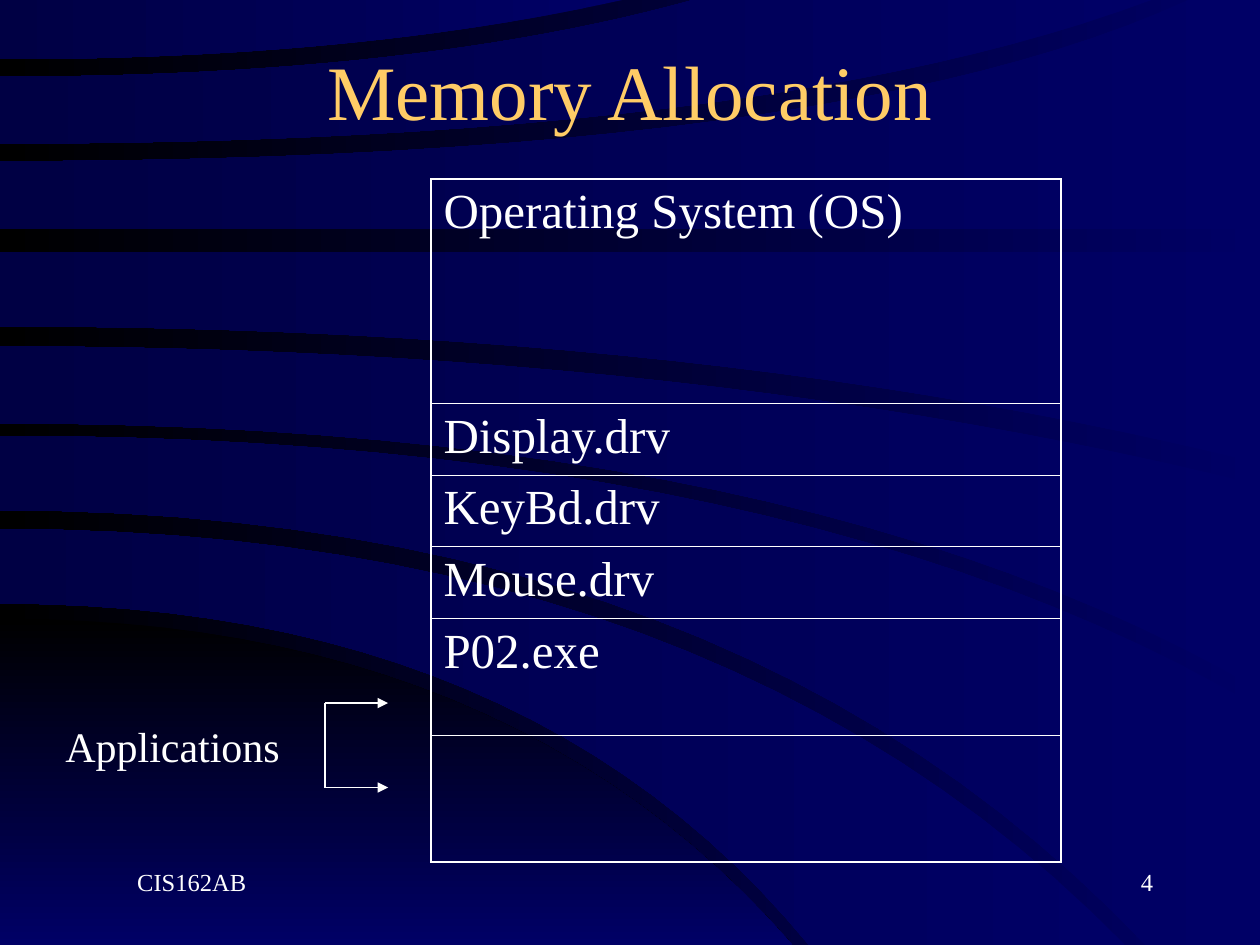
from dataclasses import dataclass

import lxml.etree
import pptx
import pptx.dml.color
import pptx.enum.shapes
import pptx.enum.text
import pptx.oxml.ns
import pptx.util
from pptx.util import Inches

FONT = "Times New Roman"
WHITE, GOLD = "FFFFFF", "FFCC66"
NAVY, DARK_NAVY, BLACK = "000066", "000044", "000000"
THIN, THICK = 0.45, 1.08
CURVE_STEPS = 24
ALIGN = pptx.enum.text.PP_ALIGN
ANCHOR = pptx.enum.text.MSO_ANCHOR


@dataclass
class Curve:
    """Leaves the left edge level at start_y and bends at bend_x towards its end."""
    start_y: float
    bend_x: float
    end_x: float
    end_y: float

    def points(self) -> list[tuple[float, float]]:
        steps = [step / CURVE_STEPS for step in range(CURVE_STEPS + 1)]
        return [(2 * t * (1 - t) * self.bend_x + t * t * self.end_x,
                 self.start_y + t * t * (self.end_y - self.start_y)) for t in steps]


@dataclass
class Band:
    upper: Curve
    lower: Curve
    corner: tuple[tuple[float, float], ...] = ()
    start: str = NAVY
    end: str = DARK_NAVY
    angle: int = 180


@dataclass
class Label:
    text: str
    left: float
    top: float
    width: float
    height: float
    size: float
    color: str = WHITE
    align: ALIGN = ALIGN.LEFT
    anchor: ANCHOR = ANCHOR.TOP
    space_before: float = 0
    margin: float = 0


@dataclass
class Line:
    start: tuple[float, float]
    end: tuple[float, float]
    arrow: bool = False


@dataclass
class MemoryBlock:
    text: str
    height: float


# Curved bands behind the text, from back to front
BANDS = [
    Band(Curve(4.91, 4.04, 6.29, 7.5), Curve(7.5, 3, 6.29, 7.5),
         start=BLACK, end=NAVY, angle=270),
    Band(Curve(4.2, 5.7, 8.93, 7.5), Curve(4.79, 4.19, 6.42, 7.5)),
    Band(Curve(3.46, 6.32, 10, 5.62), Curve(4.05, 5.83, 9.09, 7.5), ((10, 7.5),)),
    Band(Curve(2.75, 5.54, 10, 3.85), Curve(3.36, 6.38, 10, 5.48)),
    Band(Curve(2, 5, 10, 2), Curve(2.59, 5.68, 10, 3.68)),
    Band(Curve(1.28, 6.66, 9.43, 0), Curve(1.82, 5, 10, 1.82), ((10, 0),)),
    Band(Curve(0.61, 3.31, 5.5, 0), Curve(1.14, 6.09, 9.14, 0)),
    Band(Curve(0, 2.5, 4.94, 0), Curve(0.47, 2.83, 4.94, 0)),
]

MEMORY = [
    MemoryBlock("Operating System (OS)", 1.78),
    MemoryBlock("Display.drv", 0.57),
    MemoryBlock("KeyBd.drv", 0.57),
    MemoryBlock("Mouse.drv", 0.57),
    MemoryBlock("P02.exe", 0.93),
    MemoryBlock("", 1),
]

LABELS = [
    Label("Memory Allocation", 0.75, 0.17, 8.5, 1.08, 44, GOLD, ALIGN.CENTER, ANCHOR.MIDDLE),
    Label("Applications", 0.42, 5.67, 2, 0.5, 24, space_before=15),
    Label("4", 7.17, 6.83, 2.08, 0.5, 14, align=ALIGN.RIGHT, margin=0.24),
    Label("CIS162AB", 0.75, 6.83, 2.08, 0.5, 14, margin=0.24),
]

BRACKET = [
    Line((2.58, 5.58), (3.08, 5.58), arrow=True),
    Line((2.58, 6.25), (3.08, 6.25), arrow=True),
    Line((2.58, 5.58), (2.58, 6.25)),
]


def rgb(color: str) -> pptx.dml.color.RGBColor:
    return pptx.dml.color.RGBColor.from_string(color)


def add_child(parent, tag: str, **attributes: str):
    child = lxml.etree.SubElement(parent, pptx.oxml.ns.qn(tag))
    child.attrib.update(attributes)
    return child


def set_gradient(fill, start: str, end: str, angle: int) -> None:
    fill.gradient()
    fill.gradient_angle = angle
    for stop, color in zip(fill.gradient_stops, (start, end)):
        stop.color.rgb = rgb(color)


def format_paragraph(para, size: float, color: str, space_before: float) -> None:
    para.space_before = pptx.util.Pt(space_before)
    for span in para.runs:
        span.font.name = FONT
        span.font.size = pptx.util.Pt(size)
        span.font.color.rgb = rgb(color)


def draw_band(page, band: Band) -> None:
    outline = [*band.upper.points(), *band.corner, *reversed(band.lower.points())]
    corners = [(Inches(x), Inches(y)) for x, y in outline]
    builder = page.shapes.build_freeform(*corners[0])
    builder.add_line_segments(corners[1:], close=True)
    shape = builder.convert_to_shape()
    shape.shadow.inherit = False
    shape.line.fill.background()
    set_gradient(shape.fill, band.start, band.end, band.angle)


def draw_label(page, label: Label) -> None:
    box = page.shapes.add_textbox(Inches(label.left), Inches(label.top),
                                  Inches(label.width), Inches(label.height))
    frame = box.text_frame
    frame.word_wrap = True
    frame.vertical_anchor = label.anchor
    frame.text = label.text
    para = frame.paragraphs[0]
    para.alignment = label.align
    format_paragraph(para, label.size, label.color, label.space_before)
    para._p.get_or_add_pPr().set("marL", str(Inches(label.margin)))


def draw_line(page, line: Line) -> None:
    connector = page.shapes.add_connector(pptx.enum.shapes.MSO_CONNECTOR.STRAIGHT,
                                          *map(Inches, line.start + line.end))
    connector.line.color.rgb = rgb(WHITE)
    connector.line.width = pptx.util.Pt(0.75)
    if line.arrow:
        add_child(connector.line._get_or_add_ln(), "a:tailEnd", type="triangle")
    add_child(connector._element.spPr, "a:effectLst")


def set_borders(cell, widths: dict[str, float]) -> None:
    properties = cell._tc.get_or_add_tcPr()
    for side, width in widths.items():
        border = add_child(properties, f"a:ln{side}", w=str(pptx.util.Pt(width)))
        add_child(add_child(border, "a:solidFill"), "a:srgbClr", val=WHITE)


def draw_memory(page, blocks: list[MemoryBlock]) -> None:
    height = sum(block.height for block in blocks)
    table = page.shapes.add_table(len(blocks), 1, Inches(3.42), Inches(1.42),
                                  Inches(5), Inches(height)).table
    table.first_row = table.horz_banding = False
    last = len(blocks) - 1
    for index, block in enumerate(blocks):
        table.rows[index].height = Inches(block.height)
        cell = table.cell(index, 0)
        cell.text = block.text
        format_paragraph(cell.text_frame.paragraphs[0], 28, WHITE, 7)
        set_borders(cell, {"L": THICK, "R": THICK, "T": THICK if index == 0 else THIN,
                           "B": THICK if index == last else THIN})
        cell.fill.background()


def main() -> None:
    deck = pptx.Presentation()
    deck.slide_width, deck.slide_height = Inches(10), Inches(7.5)
    page = deck.slides.add_slide(deck.slide_layouts[6])
    set_gradient(page.background.fill, NAVY, BLACK, 180)
    for band in BANDS:
        draw_band(page, band)
    draw_memory(page, MEMORY)
    for label in LABELS:
        draw_label(page, label)
    for line in BRACKET:
        draw_line(page, line)
    deck.save("out.pptx")


if __name__ == "__main__":
    main()
